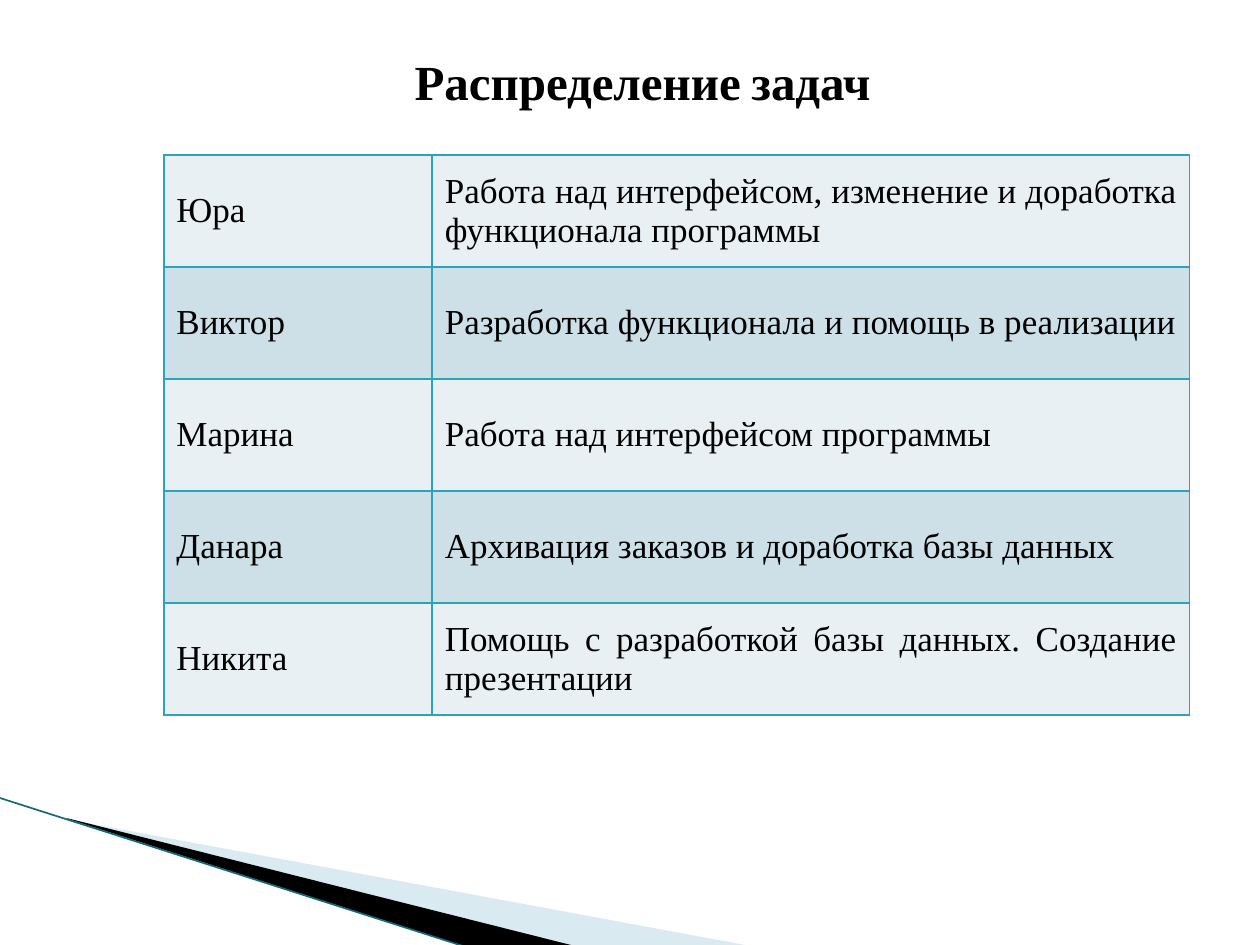
from lxml.etree import SubElement
from pptx import Presentation
from pptx.dml.color import RGBColor
from pptx.enum.shapes import MSO_CONNECTOR as Connector
from pptx.enum.text import MSO_ANCHOR as Anchor, MSO_AUTO_SIZE as AutoSize, PP_ALIGN as Align
from pptx.oxml.ns import qn
from pptx.util import Pt

BLACK = RGBColor(0x00, 0x00, 0x00)
PALE_BLUE = RGBColor(0xA0, 0xCB, 0xDC)
DARK_TEAL = RGBColor(0x14, 0x69, 0x7C)
BORDER = RGBColor(0x2D, 0xA2, 0xBF)
BANDS = (RGBColor(0xE8, 0xF0, 0xF4), RGBColor(0xCD, 0xE0, 0xE8))

TASKS = [
    ("Юра", "Работа над интерфейсом, изменение и доработка функционала программы"),
    ("Виктор", "Разработка функционала и помощь в реализации"),
    ("Марина", "Работа над интерфейсом программы"),
    ("Данара", "Архивация заказов и доработка базы данных"),
    ("Никита", "Помощь с разработкой базы данных. Создание презентации"),
]


class SlideStyle:
    """Holds the font and the current slide, and draws each kind of element."""

    def __init__(self, slide, font="Times New Roman"):
        self.slide = slide
        self.font = font

    def add_run(self, paragraph, text, size, bold=False):
        run = paragraph.add_run()
        run.text = text
        run.font.name = self.font
        run.font.size = Pt(size)
        run.font.bold = bold
        run.font.color.rgb = BLACK

    def title(self, left, top, width, height, runs):
        heading = self.slide.shapes.title
        heading.left, heading.top = Pt(left), Pt(top)
        heading.width, heading.height = Pt(width), Pt(height)
        frame = heading.text_frame
        frame.word_wrap = False
        frame.auto_size = AutoSize.SHAPE_TO_FIT_TEXT
        frame.vertical_anchor = Anchor.TOP
        paragraph = frame.paragraphs[0]
        paragraph.alignment = Align.LEFT
        for text, size in runs:
            self.add_run(paragraph, text, size, bold=True)

    def wedge(self, points, color, opacity=100):
        corners = [(Pt(x), Pt(y)) for x, y in points]
        builder = self.slide.shapes.build_freeform(*corners[0])
        builder.add_line_segments(corners[1:], close=True)
        wedge = builder.convert_to_shape()
        wedge.shadow.inherit = False
        wedge.fill.solid()
        wedge.fill.fore_color.rgb = color
        wedge.line.fill.background()
        if opacity < 100:
            tint = wedge.fill._xPr.find(qn("a:solidFill"))[0]
            SubElement(tint, qn("a:alpha"), val=str(opacity * 1000))

    def line(self, start, end, color, width):
        edge = self.slide.shapes.add_connector(
            Connector.STRAIGHT, *(Pt(value) for value in start + end))
        edge.line.color.rgb = color
        edge.line.width = Pt(width)
        SubElement(edge._element.spPr, qn("a:effectLst"))

    def border(self, cell, color, width):
        properties = cell._tc.get_or_add_tcPr()
        for side in ("lnL", "lnR", "lnT", "lnB"):
            edge = SubElement(properties, qn(f"a:{side}"), w=str(Pt(width)))
            SubElement(SubElement(edge, qn("a:solidFill")), qn("a:srgbClr"), val=str(color))

    def table(self, left, top, widths, row_height, rows, size):
        table = self.slide.shapes.add_table(
            len(rows), len(widths), Pt(left), Pt(top),
            Pt(sum(widths)), Pt(row_height * len(rows))).table
        table.first_row = False
        for column, width in zip(table.columns, widths):
            column.width = Pt(width)
        for index, texts in enumerate(rows):
            table.rows[index].height = Pt(row_height)
            for position, text in enumerate(texts):
                cell = table.cell(index, position)
                self.border(cell, BORDER, 1)
                cell.fill.solid()
                cell.fill.fore_color.rgb = BANDS[index % 2]
                cell.vertical_anchor = Anchor.MIDDLE
                paragraph = cell.text_frame.paragraphs[0]
                paragraph.alignment = Align.JUSTIFY if position else Align.LEFT
                self.add_run(paragraph, text, size)


def main():
    deck = Presentation()
    deck.slide_width, deck.slide_height = Pt(720), Pt(540)
    style = SlideStyle(deck.slides.add_slide(deck.slide_layouts[5]))
    style.wedge([(39.6, 468.5), (428.4, 540.5), (328.3, 540.5), (39.6, 468)], PALE_BLUE, 40)
    style.wedge([(38.2, 467.5), (329, 540.7), (267.8, 541.4), (38.9, 468)], BLACK)
    style.line((-0.7, 455.8), (267.1, 541.4), DARK_TEAL, 0.95)
    style.table(93.6, 88.6, (153.4, 432.7), 64, TASKS, 20)
    style.title(229.7, 25.9, 277.9, 41, [("Распределение", 28), (" ", 24), ("задач", 28)])
    deck.save("out.pptx")


if __name__ == "__main__":
    main()
